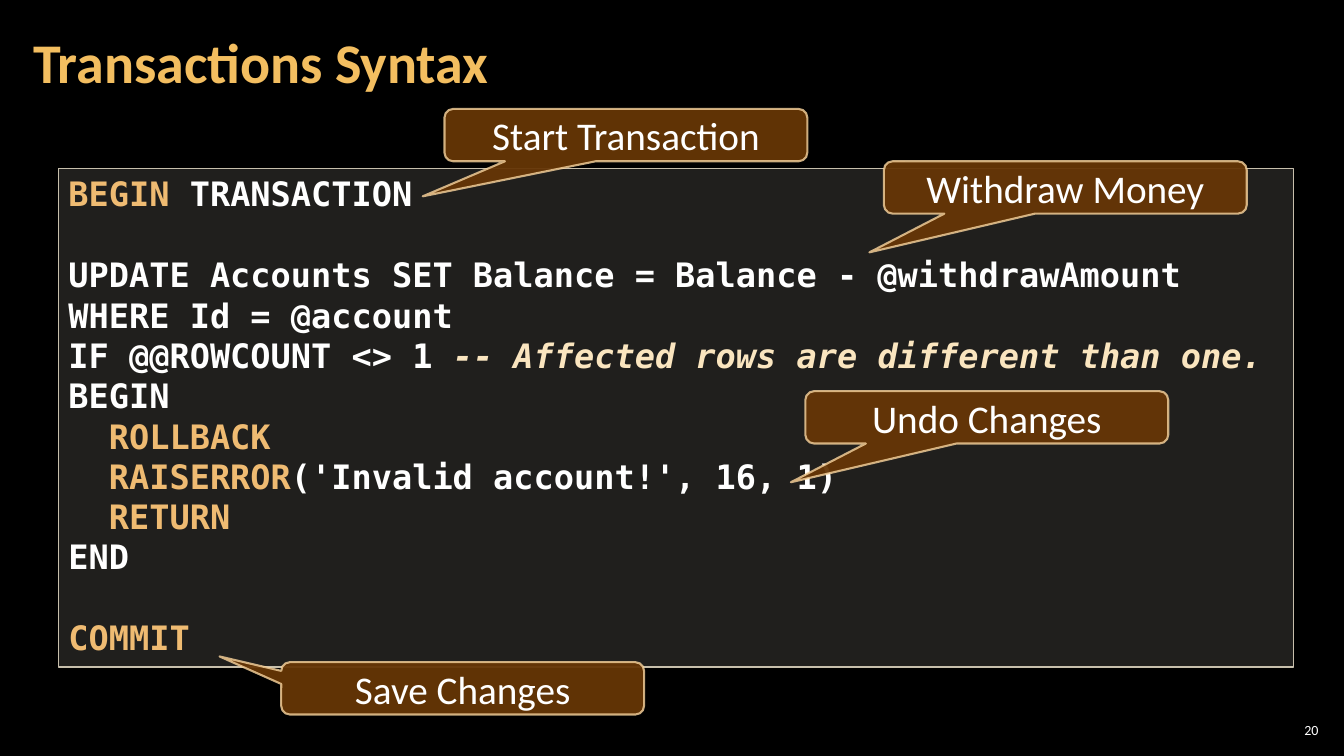
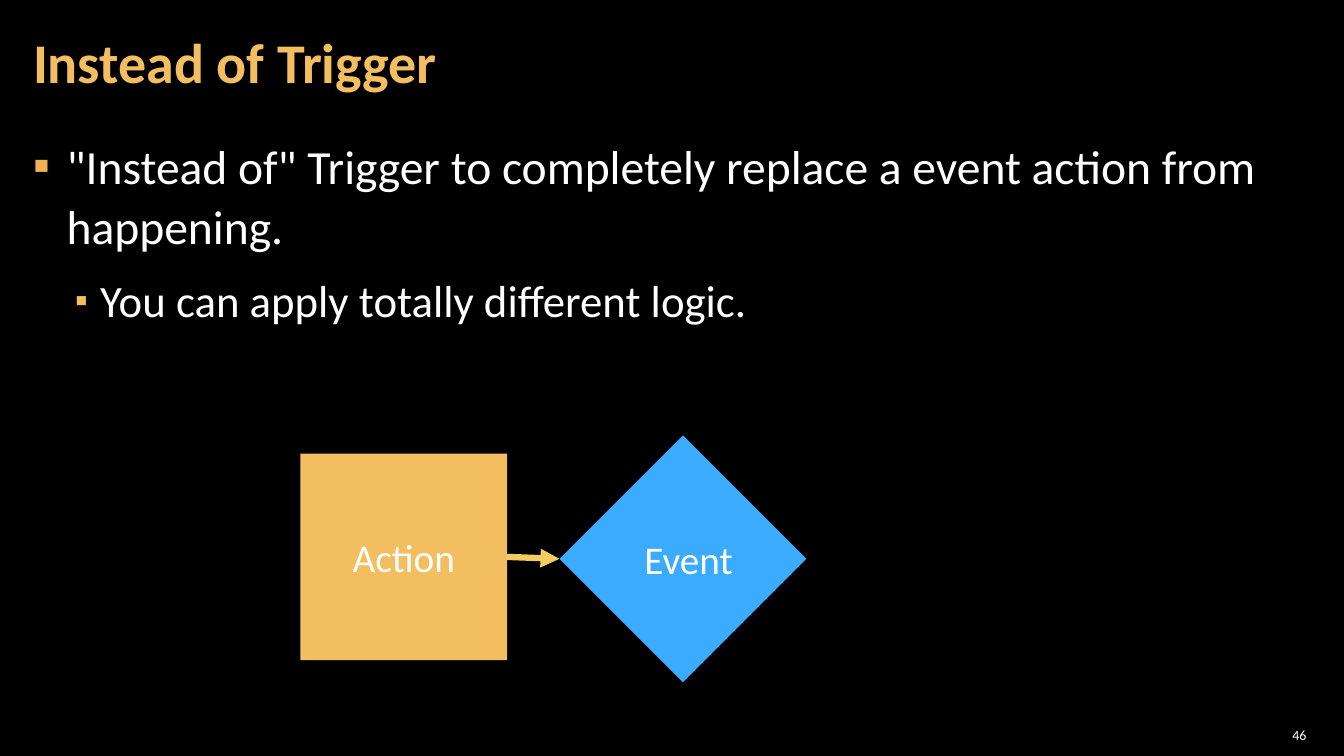
import copy
from dataclasses import dataclass

import lxml.etree
import pptx
import pptx.dml.color
import pptx.enum.shapes
import pptx.enum.text
import pptx.oxml
import pptx.oxml.ns
import pptx.util

Pt = pptx.util.Pt
Shape = pptx.enum.shapes.MSO_SHAPE
Align = pptx.enum.text.PP_ALIGN
Anchor = pptx.enum.text.MSO_ANCHOR
qn = pptx.oxml.ns.qn


@dataclass(frozen=True)
class Theme:
    background: str = "000000"
    text: str = "FFFFFF"
    gold: str = "F3BE60"
    keyword: str = "EFBB72"
    comment: str = "FAE5BF"
    code_fill: str = "D9D5C7"
    code_line: str = "C7BFAC"
    callout_fill: str = "663606"
    callout_line: str = "F8D49E"
    event_fill: str = "3BABFF"
    arrow: str = "F3CD60"
    bullet: str = "F2B254"
    font: str = "Calibri"
    code_font: str = "DejaVu Sans Mono"
    title_size: int = 40
    label_size: int = 28
    code_size: int = 24
    code_gap: int = 29
    number_size: int = 10


THEME = Theme()
CODE_STYLES = {
    "plain": (THEME.text, False),
    "keyword": (THEME.keyword, False),
    "comment": (THEME.comment, True),
}

SYNTAX_TITLE = "Transactions Syntax"
SYNTAX_NUMBER = ("20", (910.8, 514, 33.8, 15))
CODE_BLOCKS = [
    [[("BEGIN", "keyword"), (" TRANSACTION", "plain")]],
    [
        [("UPDATE Accounts SET Balance = Balance - @withdrawAmount", "plain")],
        [("WHERE Id = @account", "plain")],
        [("IF @@ROWCOUNT <> 1 ", "plain"),
         ("-- Affected rows are different than one.", "comment")],
        [("BEGIN", "plain")],
        [("  ", "plain"), ("ROLLBACK", "keyword")],
        [("  ", "plain"), ("RAISERROR", "keyword"),
         ("('Invalid account!', 16, 1)", "plain")],
        [("  ", "plain"), ("RETURN", "keyword")],
        [("END", "plain")],
    ],
    [[("COMMIT", "keyword")]],
]
CODE_AREA = (41.8, 120.2, 882, 356.4)
CALLOUT_SIZE = (259.2, 37.4)
CALLOUTS = [
    ("Start Transaction", (317.5, 77.8), (-0.56, 1.17)),
    ("Undo Changes", (575.3, 279.4), (-0.54, 1.24)),
    ("Save Changes", (200.9, 473), (-0.67, -0.61)),
    ("Withdraw Money", (631.4, 115.2), (-0.54, 1.24)),
]

TRIGGER_TITLE = "Instead of Trigger"
TRIGGER_NUMBER = ("46", (900, 516.2, 36, 18))
BULLETS = [
    ('"Instead of" Trigger to completely replace a event action from happening.',
     dict(level=0, size=34, left=24, hang=24, before=0, color=THEME.bullet, scale=100)),
    ("You can apply totally different logic.",
     dict(level=1, size=32, left=48, hang=18, before=6, color=THEME.gold, scale=80)),
]
BULLET_AREA = (15.1, 92.7, 929.5, 436.5)
ACTION = ("Action", Shape.RECTANGLE, (214.6, 324, 147.6, 147.6), THEME.gold)
EVENT = ("Event", Shape.DIAMOND, (399.6, 311, 176.4, 176.4), THEME.event_fill)
TITLE_AREA = (15.1, 2.9, 753.8, 87.1)


def rgb(value):
    return pptx.dml.color.RGBColor.from_string(value)


def points(values):
    return [Pt(value) for value in values]


def paint(fill, color, opacity=100):
    fill.solid()
    fill.fore_color.rgb = rgb(color)
    if opacity < 100:
        for node in fill._xPr.iter(qn("a:srgbClr")):
            alpha = lxml.etree.SubElement(node, qn("a:alpha"))
            alpha.set("val", str(opacity * 1000))


def style(font, size, color=THEME.text, name=THEME.font, bold=False, italic=False):
    font.size, font.name = Pt(size), name
    font.bold, font.italic = bold, italic
    font.color.rgb = rgb(color)


def set_insets(frame, left, top, right, bottom):
    frame.margin_left, frame.margin_top, frame.margin_right, frame.margin_bottom = points(
        (left, top, right, bottom))


def add_box(page, kind, area, color, opacity=100):
    box = page.shapes.add_shape(kind, *points(area))
    box.shadow.inherit = False
    paint(box.fill, color, opacity)
    box.line.fill.background()
    return box


def outline(box, color, width, opacity=100):
    paint(box.line.fill, color, opacity)
    box.line.width = Pt(width)


def write_label(box, text):
    frame = box.text_frame
    frame.word_wrap = True
    frame.vertical_anchor = Anchor.MIDDLE
    frame.text = text
    para = frame.paragraphs[0]
    para.alignment = Align.CENTER
    style(para.runs[0].font, THEME.label_size)


def add_page(deck, title, number):
    page = deck.slides.add_slide(deck.slide_layouts[5])
    heading = page.shapes.title
    heading.left, heading.top, heading.width, heading.height = points(TITLE_AREA)
    frame = heading.text_frame
    frame.text = title
    frame.word_wrap = True
    frame.auto_size = pptx.enum.text.MSO_AUTO_SIZE.NONE
    frame.vertical_anchor = Anchor.MIDDLE
    set_insets(frame, 8.5, 2.8, 8.5, 2.8)
    para = frame.paragraphs[0]
    para.alignment = Align.LEFT
    para.line_spacing = 0.9
    style(para.runs[0].font, THEME.title_size, THEME.gold, bold=True)

    label, area = number
    frame = page.shapes.add_textbox(*points(area)).text_frame
    frame.text = label
    frame.word_wrap = True
    frame.vertical_anchor = Anchor.MIDDLE
    set_insets(frame, 2.8, 2.8, 2.8, 2.8)
    frame.paragraphs[0].alignment = Align.RIGHT
    style(frame.paragraphs[0].runs[0].font, THEME.number_size)
    return page


def add_code(page):
    box = add_box(page, Shape.RECTANGLE, CODE_AREA, THEME.code_fill, 15)
    outline(box, THEME.code_line, 1)
    frame = box.text_frame
    frame.word_wrap = True
    frame.vertical_anchor = Anchor.TOP
    lines = [(line, block > 0 and row == 0)
             for block, rows in enumerate(CODE_BLOCKS) for row, line in enumerate(rows)]
    for index, (line, opens_block) in enumerate(lines):
        para = frame.add_paragraph() if index else frame.paragraphs[0]
        para.alignment = Align.LEFT
        if opens_block:
            para.space_before = Pt(THEME.code_gap)
        for text, role in line:
            span = para.add_run()
            span.text = text
            color, italic = CODE_STYLES[role]
            style(span.font, THEME.code_size, color, THEME.code_font, True, italic)


def add_callout(page, text, corner, pointer):
    box = add_box(page, Shape.ROUNDED_RECTANGULAR_CALLOUT, corner + CALLOUT_SIZE,
                  THEME.callout_fill, 95)
    outline(box, THEME.callout_line, 1.5, 80)
    box.adjustments[0], box.adjustments[1] = pointer
    write_label(box, text)


def add_bullets(page):
    frame = page.shapes.add_textbox(*points(BULLET_AREA)).text_frame
    frame.word_wrap = True
    set_insets(frame, 8.5, 2.8, 8.5, 2.8)
    for index, (text, look) in enumerate(BULLETS):
        para = frame.add_paragraph() if index else frame.paragraphs[0]
        para.text = text
        para.level = look["level"]
        para.line_spacing = 1.05
        para.space_before, para.space_after = Pt(look["before"]), Pt(6)
        settings = para._p.get_or_add_pPr()
        settings.set("marL", str(Pt(look["left"])))
        settings.set("indent", str(-Pt(look["hang"])))
        color = lxml.etree.SubElement(settings, qn("a:buClr"))
        lxml.etree.SubElement(color, qn("a:srgbClr")).set("val", look["color"])
        scale = lxml.etree.SubElement(settings, qn("a:buSzPct"))
        scale.set("val", str(look["scale"] * 1000))
        lxml.etree.SubElement(settings, qn("a:buFont")).set("typeface", THEME.font)
        lxml.etree.SubElement(settings, qn("a:buChar")).set("char", "▪")
        style(para.runs[0].font, look["size"])


def add_node(page, text, kind, area, color):
    box = add_box(page, kind, area, color)
    write_label(box, text)
    return box


def add_arrow(page, source, target):
    arrow = page.shapes.add_connector(pptx.enum.shapes.MSO_CONNECTOR.STRAIGHT, 0, 0, 0, 0)
    arrow.begin_connect(source, 3)
    arrow.end_connect(target, 1)
    arrow.line.width = Pt(4.5)
    arrow.line.color.rgb = rgb(THEME.arrow)
    line = arrow.line._get_or_add_ln()
    lxml.etree.SubElement(line, qn("a:tailEnd")).set("type", "triangle")
    lxml.etree.SubElement(arrow._element.spPr, qn("a:effectLst"))


def main():
    deck = pptx.Presentation()
    deck.slide_width, deck.slide_height = Pt(960), Pt(540)
    paint(deck.slide_master.background.fill, THEME.background)

    syntax = add_page(deck, SYNTAX_TITLE, SYNTAX_NUMBER)
    add_code(syntax)
    for callout in CALLOUTS:
        add_callout(syntax, *callout)

    trigger = add_page(deck, TRIGGER_TITLE, TRIGGER_NUMBER)
    add_bullets(trigger)
    action = add_node(trigger, *ACTION)
    event = add_node(trigger, *EVENT)
    set_insets(event.text_frame, 12, 3.6, 4, 3.6)
    add_arrow(trigger, action, event)

    deck.save("out.pptx")


if __name__ == "__main__":
    main()
